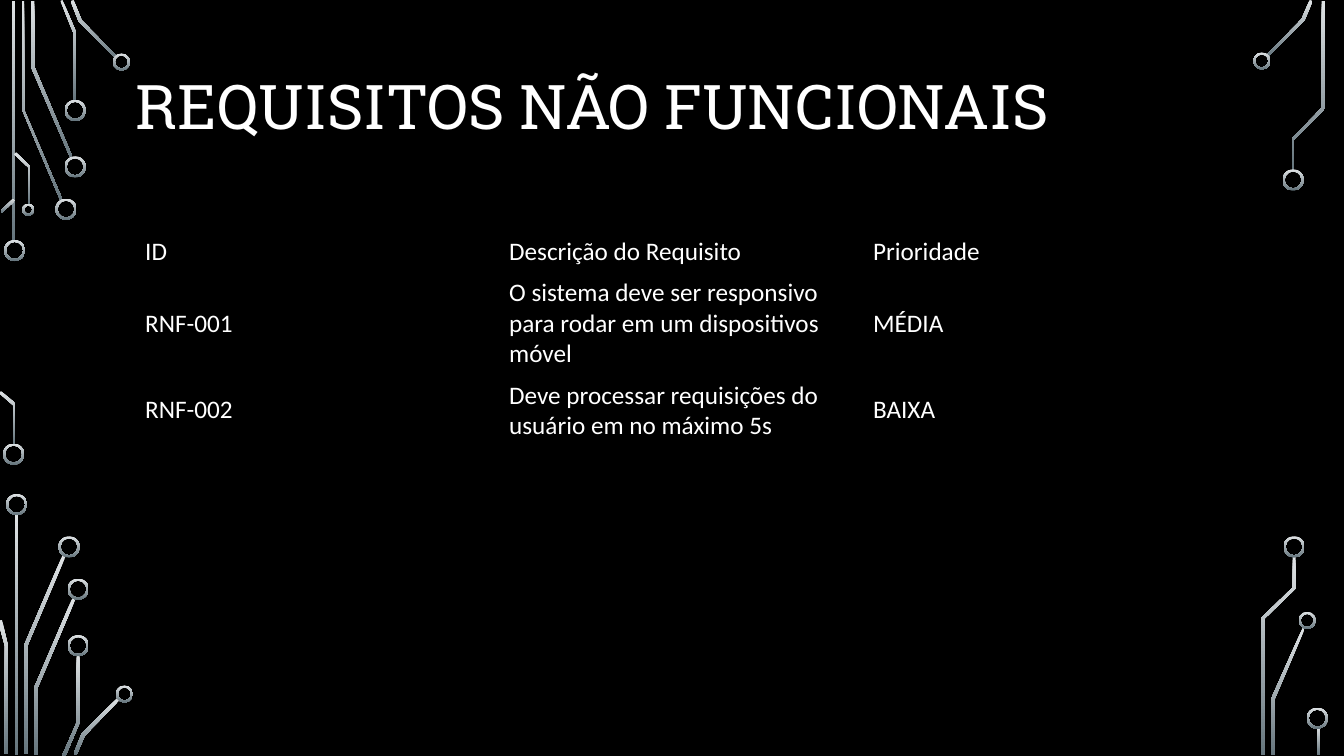
from lxml.etree import SubElement
from pptx import Presentation
from pptx.dml.color import RGBColor
from pptx.enum.shapes import MSO_SHAPE as Preset
from pptx.enum.text import MSO_ANCHOR as Anchor
from pptx.oxml.ns import qn
from pptx.util import Inches, Pt

COLORS = {"background": "000000", "text": "FFFFFF", "light": "DFE3E5", "dark": "65757D"}
RING_THICKNESS = 0.02

# Straight vertical tracks: left, top, width, height
BARS = [(0.12, 0.01, 0.03, 2.39), (0.15, 5.1, 0.03, 2.39), (13.06, 7.21, 0.03, 0.28)]

# Round pads at the track ends: left, top, diameter
PADS = [
    # top left
    (0.04, 2.38, 0.21), (0.55, 1.97, 0.21), (0.64, 1.55, 0.21), (0.64, 0.99, 0.21),
    (1.12, 0.53, 0.17), (0.22, 2.02, 0.12), (0.03, 4.4, 0.21),
    # bottom left
    (0.06, 4.9, 0.21), (0.58, 5.32, 0.21), (0.67, 5.74, 0.21), (0.67, 6.3, 0.21),
    (1.15, 6.8, 0.17),
    # top right
    (12.43, 0.52, 0.17), (12.72, 1.68, 0.21),
    # bottom right
    (12.88, 6.07, 0.17), (12.73, 5.32, 0.21), (12.96, 7.02, 0.21),
]

# Bent tracks, each given by its outline
TRACKS = [
    # top left
    [(0.6, 1.99), (0.22, 1.09), (0.22, 0.01), (0.24, 0.01), (0.24, 1.09), (0.62, 1.98)],
    [(0.7, 1.57), (0.31, 0.67), (0.31, 0.01), (0.34, 0.01), (0.34, 0.66), (0.72, 1.56)],
    [(0.76, 1), (0.73, 1), (0.73, 0.33), (0.6, 0.01), (0.62, 0), (0.76, 0.33)],
    [(1.15, 0.58), (0.78, 0.21), (0.7, 0.01), (0.73, 0), (0.81, 0.2), (1.16, 0.56)],
    [(0.02, 2.11), (0.01, 2.09), (0.13, 1.97), (0.15, 1.99)],
    [(0.15, 4.41), (0.13, 4.41), (0.13, 4.02), (-0.01, 3.9), (0.01, 3.88), (0.15, 4)],
    [(0.3, 2.03), (0.28, 2.03), (0.28, 1.66), (0.14, 1.53), (0.16, 1.51), (0.3, 1.65)],
    # bottom left
    [(0.27, 7.48), (0.24, 7.48), (0.24, 6.4), (0.62, 5.51), (0.65, 5.52), (0.27, 6.41)],
    [(0.08, 7.48), (0.05, 7.48), (0.05, 6.41), (-0.02, 6.16), (0.02, 6.15), (0.08, 6.41)],
    [(0.37, 7.49), (0.34, 7.49), (0.34, 6.82), (0.72, 5.93), (0.75, 5.94), (0.37, 6.83)],
    [(0.65, 7.5), (0.62, 7.49), (0.76, 7.17), (0.76, 6.5), (0.79, 6.5), (0.79, 7.17)],
    [(0.76, 7.49), (0.73, 7.48), (0.81, 7.28), (1.17, 6.92), (1.19, 6.94), (0.84, 7.3)],
    # top right
    [(12.58, 0.56), (12.56, 0.55), (12.91, 0.19), (12.99, 0), (13.02, 0.01), (12.94, 0.2)],
    [(12.83, 1.69), (12.81, 1.69), (12.81, 1.38), (13.11, 1.07), (13.11, 0.01),
     (13.14, 0.01), (13.14, 1.08), (12.83, 1.39)],
    # bottom right
    [(12.64, 7.49), (12.61, 7.49), (12.61, 6.93), (12.92, 6.23), (12.94, 6.24), (12.64, 6.94)],
    [(12.54, 7.49), (12.51, 7.49), (12.51, 6.13), (12.82, 5.83), (12.82, 5.52),
     (12.85, 5.52), (12.85, 5.84), (12.54, 6.14)],
]

REQUIREMENTS = [
    ("ID", "Descrição do Requisito", "Prioridade"),
    ("RNF-001", "O sistema deve ser responsivo para rodar em um dispositivos móvel", "MÉDIA"),
    ("RNF-002", "Deve processar requisições do usuário em no máximo 5s", "BAIXA"),
]
ROW_HEIGHTS = [0.4, 1.02, 0.7]


def color(name):
    return RGBColor.from_string(COLORS[name])


class CircuitSlide:
    def __init__(self, page):
        self.page = page
        self.shapes = page.shapes
        page.background.fill.solid()
        page.background.fill.fore_color.rgb = color("background")

    def metal(self, shape):
        shape.shadow.inherit = False
        shape.line.fill.background()
        shape.fill.gradient()
        shape.fill.gradient_angle = 270
        for stop, name in zip(shape.fill.gradient_stops, ("light", "dark")):
            stop.color.rgb = color(name)

    def bar(self, *frame):
        self.metal(self.shapes.add_shape(Preset.RECTANGLE, *map(Inches, frame)))

    def pad(self, left, top, size):
        ring = self.shapes.add_shape(Preset.DONUT, *map(Inches, (left, top, size, size)))
        ring.adjustments[0] = RING_THICKNESS / size
        self.metal(ring)

    def track(self, outline):
        start, *rest = [(Inches(x), Inches(y)) for x, y in outline]
        builder = self.shapes.build_freeform(*start)
        builder.add_line_segments(rest, close=True)
        self.metal(builder.convert_to_shape())

    def font(self, para, name, size):
        para.font.name = name
        para.font.size = Pt(size)
        para.font.color.rgb = color("text")

    def title(self, text, *frame):
        box = self.shapes.add_textbox(*map(Inches, frame)).text_frame
        box.word_wrap = True
        box.vertical_anchor = Anchor.TOP
        box.margin_top = Inches(0.08)
        para = box.paragraphs[0]
        para.text = text
        para.line_spacing = 0.9
        self.font(para, "Roboto Slab", 44)

    def table(self, rows, heights, left, top, width):
        frame = self.shapes.add_table(len(rows), len(rows[0]), Inches(left), Inches(top),
                                      Inches(width), Inches(sum(heights)))
        grid = frame.table
        grid.first_row = grid.horz_banding = False
        for row, height, texts in zip(grid.rows, heights, rows):
            row.height = Inches(height)
            for cell, text in zip(row.cells, texts):
                self.cell(cell, text)

    def cell(self, cell, text):
        properties = cell._tc.get_or_add_tcPr()
        for side in ("lnL", "lnR", "lnT", "lnB"):
            SubElement(SubElement(properties, qn(f"a:{side}")), qn("a:noFill"))
        cell.fill.background()
        cell.vertical_anchor = Anchor.MIDDLE
        cell.text = text
        self.font(cell.text_frame.paragraphs[0], "Calibri", 18)


def main():
    deck = Presentation()
    deck.slide_width, deck.slide_height = Inches(13.33), Inches(7.5)
    slide = CircuitSlide(deck.slides.add_slide(deck.slide_layouts[6]))

    # Circuit decoration
    for frame in BARS:
        slide.bar(*frame)
    for outline in TRACKS:
        slide.track(outline)
    for place in PADS:
        slide.pad(*place)

    # Title and requirements
    slide.title("REQUISITOS NÃO FUNCIONAIS", 1.25, 0.68, 10.83, 1.62)
    slide.table(REQUIREMENTS, ROW_HEIGHTS, 1.34, 2.3, 10.83)

    deck.save("out.pptx")


if __name__ == "__main__":
    main()
